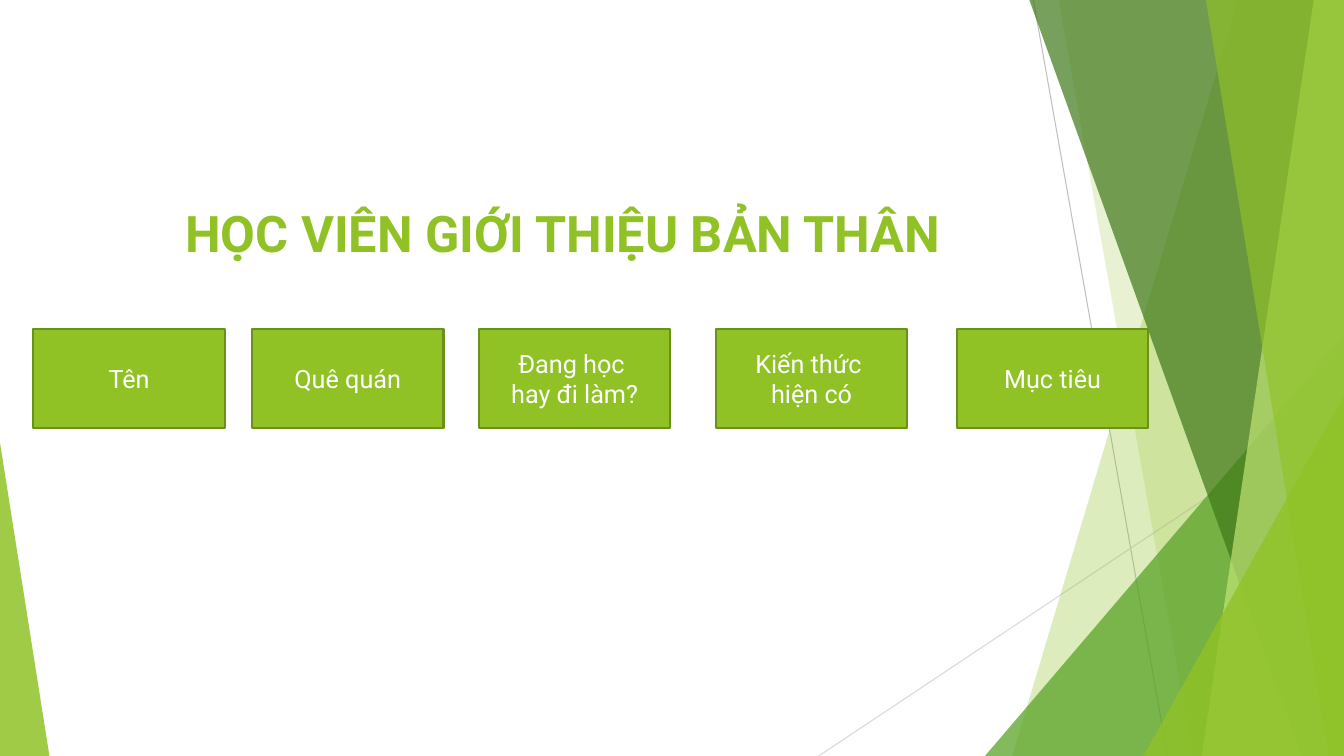
"""Build the learner introduction slide with its five topic cards."""
from lxml import etree
from pptx import Presentation
from pptx.dml.color import RGBColor
from pptx.enum.shapes import MSO_CONNECTOR, MSO_SHAPE
from pptx.enum.text import MSO_ANCHOR, PP_ALIGN
from pptx.oxml.ns import qn
from pptx.util import Inches, Pt

STRAIGHT = MSO_CONNECTOR.STRAIGHT
RECTANGLE = MSO_SHAPE.RECTANGLE
TRIANGLE = MSO_SHAPE.ISOSCELES_TRIANGLE
CENTER = PP_ALIGN.CENTER
TOP, MIDDLE = MSO_ANCHOR.TOP, MSO_ANCHOR.MIDDLE

THEME = {
    "font": "Roboto", "title_size": 36, "card_size": 18,
    "lime": "90C226", "green": "54A021", "forest": "3F7819", "pale": "C0E474",
    "border": "6B901C", "white": "FFFFFF", "gray": "BFBFBF", "light_gray": "D9D9D9",
}

deck = Presentation()
deck.slide_width, deck.slide_height = Inches(13.33), Inches(7.5)
page = deck.slides.add_slide(deck.slide_layouts[6])


def place(left, top):
    """Turn percentages of the slide's width and height into lengths."""
    return int(deck.slide_width * left / 100), int(deck.slide_height * top / 100)


def write(box, text, size, color, bold, anchor):
    """Fill a box with centred text, one paragraph per line."""
    frame = box.text_frame
    frame.word_wrap = True
    frame.vertical_anchor = anchor
    frame.text = text
    for para in frame.paragraphs:
        para.alignment = CENTER
        for span in para.runs:
            span.font.name = THEME["font"]
            span.font.size = Pt(THEME[size])
            span.font.bold = bold
            span.font.color.rgb = RGBColor.from_string(THEME[color])


hairlines = [
    ((76.89, 0), (86.87, 100), "gray"),
    ((100, 53.73), (60.92, 100), "light_gray"),
]
for start, end, color in hairlines:
    hairline = page.shapes.add_connector(STRAIGHT, *place(*start), *place(*end))
    hairline.line.color.rgb = RGBColor.from_string(THEME[color])
    hairline.line.width = Pt(0.75)
    etree.SubElement(hairline._element.spPr, qn("a:effectLst"))

facets = [
    ("ribbon", (92.12, 75.32), "lime", 30),
    ("ribbon", (78.77, 88.75), "lime", 20),
    ("corner", (73.29, 44.4, 26.71, 1), "green", 72),
    ("ribbon", (76.59, 96.85), "forest", 70),
    ("ribbon", (97.75, 89.42), "pale", 70),
    ("ribbon", (89.72, 98.87), "lime", 65),
    ("corner", (85.07, 52.4, 14.93, 1), "lime", 80),
    ("corner", (0, 58.53, 3.68, 0), "lime", 85),
]
for kind, geometry, color, opacity in facets:
    if kind == "ribbon":
        top_edge, bottom_edge = geometry
        outline = page.shapes.build_freeform(*place(top_edge, 0))
        outline.add_line_segments(
            [place(100, 0), place(100, 100), place(bottom_edge, 100)], close=True)
        facet = outline.convert_to_shape()
    else:
        left, top, width, apex = geometry
        facet = page.shapes.add_shape(
            TRIANGLE, *place(left, top), *place(width, 100 - top))
        facet.adjustments[0] = apex
    facet.shadow.inherit = False
    facet.line.fill.background()
    facet.fill.solid()
    facet.fill.fore_color.rgb = RGBColor.from_string(THEME[color])
    paint = facet._element.spPr.find(qn("a:solidFill"))[0]
    etree.SubElement(paint, qn("a:alpha"), val=str(opacity * 1000))

title = page.shapes.add_textbox(*place(2.48, 26.13), *place(78.84, 19.2))
write(title, "HỌC VIÊN GIỚI THIỆU BẢN THÂN", "title_size", "lime", True, TOP)

cards = [
    (2.48, "Tên"),
    (18.75, "Quê quán"),
    (35.63, "Đang học \nhay đi làm?"),
    (53.26, "Kiến thức \nhiện có"),
    (71.19, "Mục tiêu"),
]
for left, topic in cards:
    card = page.shapes.add_shape(RECTANGLE, *place(left, 43.47), *place(14.25, 13.2))
    card.shadow.inherit = False
    card.fill.solid()
    card.fill.fore_color.rgb = RGBColor.from_string(THEME["lime"])
    card.line.color.rgb = RGBColor.from_string(THEME["border"])
    card.line.width = Pt(1.5)
    write(card, topic, "card_size", "white", False, MIDDLE)

deck.save("out.pptx")
